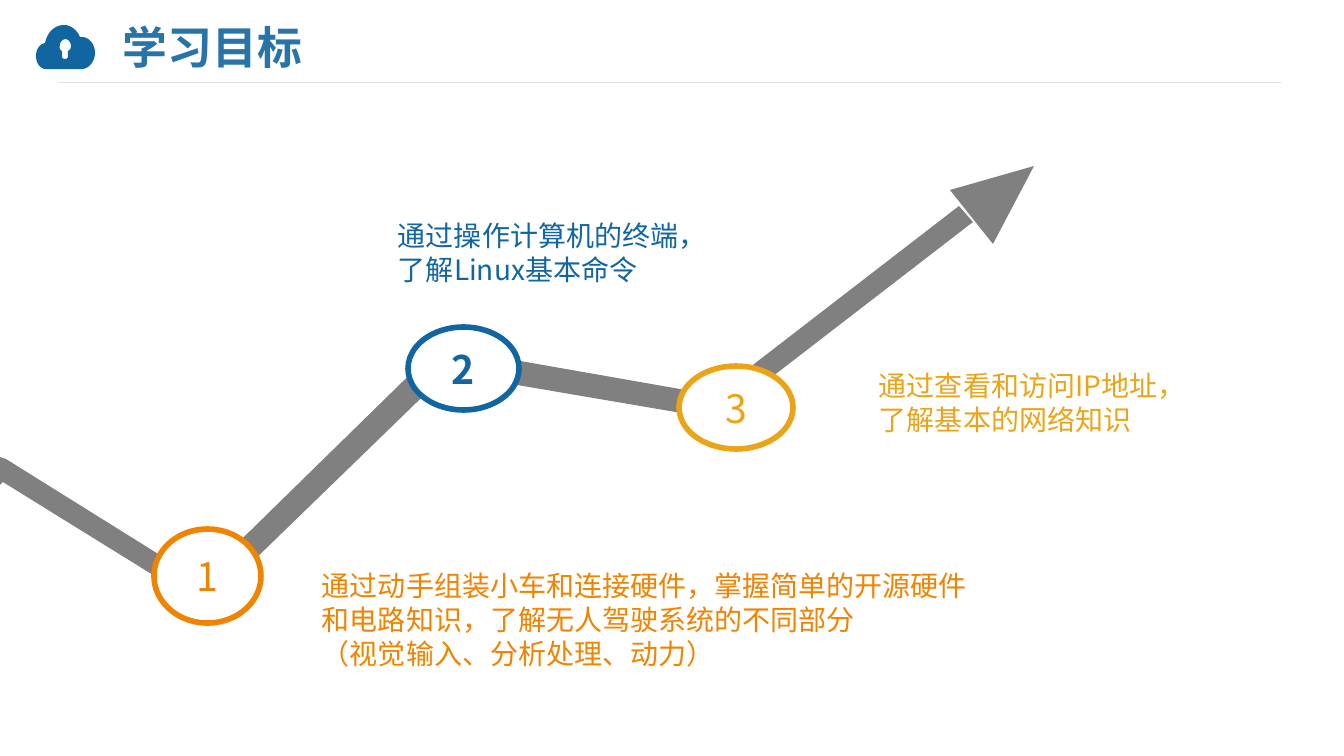
"""Build the learning goals slide: three numbered stops on a rising arrow."""
from lxml import etree
from pptx import Presentation
from pptx.dml.color import RGBColor
from pptx.enum.shapes import MSO_CONNECTOR, MSO_SHAPE
from pptx.enum.text import MSO_ANCHOR, MSO_AUTO_SIZE, PP_ALIGN
from pptx.oxml.ns import qn
from pptx.util import Pt

PX = 914400 / 100.8
FONT = "Noto Sans CJK SC"
WHITE = RGBColor(0xFF, 0xFF, 0xFF)
RULE = RGBColor(0xE0, 0xE0, 0xE0)
GRAY = RGBColor(0x80, 0x80, 0x80)
TITLE = RGBColor(0x28, 0x74, 0xA9)
BLUE = RGBColor(0x11, 0x65, 0xA0)
ORANGE = RGBColor(0xF0, 0x83, 0x00)
GOLD = RGBColor(0xEB, 0xA4, 0x17)
STEPS = 8


def px(*lengths):
    return [round(n * PX) for n in lengths]


def style(tf, size, color, bold=False):
    for p in tf.paragraphs:
        for r in p.runs:
            r.font.name, r.font.size, r.font.bold = FONT, Pt(size), bold
            r.font.color.rgb = color
            ea = etree.SubElement(r.font._element, qn("a:ea"))
            ea.set("typeface", FONT)


prs = Presentation()
prs.slide_width, prs.slide_height = px(1344, 756)
s = prs.slides.add_slide(prs.slide_layouts[5])

rule = s.shapes.add_connector(MSO_CONNECTOR.STRAIGHT, *px(1281, 83, 59, 83))
rule.line.color.rgb = RULE
rule.line.width = Pt(0.75)
etree.SubElement(rule._element.spPr, qn("a:effectLst"))

title = s.shapes.title
title.left, title.top, title.width, title.height = px(123, 21, 896, 52)
tf = title.text_frame
tf.text = "学习目标"
tf.auto_size = MSO_AUTO_SIZE.NONE
tf.vertical_anchor = MSO_ANCHOR.MIDDLE
tf.margin_left = tf.margin_top = tf.margin_right = tf.margin_bottom = 0
tf.paragraphs[0].alignment = PP_ALIGN.LEFT
style(tf, 32, TITLE, True)

cloud = [
    [(82, 37)], [(81, 37), (81, 37), (80, 37)], [(77, 30), (71, 25), (64, 25)],
    [(54, 25), (47, 33), (45, 43)], [(40, 44), (36, 49), (36, 56)],
    [(36, 63), (40, 69), (46, 69)], [(82, 69)],
    [(89, 69), (95, 61), (95, 53)], [(95, 44), (89, 37), (82, 37)],
]
keyhole = [
    [(68, 51)], [(68, 56)], [(68, 58), (67, 59), (65, 59)],
    [(63, 59), (62, 58), (62, 56)], [(62, 51)],
    [(60, 50), (59, 48), (60, 45)], [(60, 42), (62, 40), (65, 39)],
    [(68, 39), (71, 42), (71, 46)], [(71, 48), (70, 50), (68, 51)],
]
path = [[(0, 457), (6, 459), (200, 580), (434, 351), (442, 340), (452, 349),
         (714, 395), (959, 206), (973, 222), (720, 417), (713, 423), (705, 417),
         (447, 373), (213, 600), (209, 607), (200, 604), (3, 482), (0, 485)]]
arrowhead = [[(1034, 166), (950, 190), (993, 244)]]

icon = []
for contour in (cloud, keyhole):
    points = []
    for segment in contour:
        if len(segment) == 1:
            points += segment
            continue
        bezier = [points[-1], *segment]
        for i in range(1, STEPS + 1):
            t = i / STEPS
            weights = ((1 - t) ** 3, 3 * t * (1 - t) ** 2, 3 * t * t * (1 - t), t ** 3)
            points.append(tuple(sum(w * q[axis] for w, q in zip(weights, bezier))
                                for axis in (0, 1)))
    icon.append(points)

for contours, color in ((icon, BLUE), (path, GRAY), (arrowhead, GRAY)):
    outlines = [[px(*point) for point in contour] for contour in contours]
    builder = s.shapes.build_freeform(*outlines[0][0])
    for i, outline in enumerate(outlines):
        if i:
            builder.move_to(*outline[0])
        builder.add_line_segments(outline[1:], close=True)
    sp = builder.convert_to_shape()
    sp.shadow.inherit = False
    sp.fill.solid()
    sp.fill.fore_color.rgb = color
    sp.line.fill.background()

goals = [
    ("3", GOLD, (679, 366, 114, 83), (869, 364, 320, 78),
     "通过查看和访问IP地址，\n了解基本的网络知识"),
    ("2", BLUE, (408, 327, 111, 83), (388, 214, 365, 78),
     "通过操作计算机的终端，\n了解Linux基本命令"),
    ("1", ORANGE, (154, 529, 107, 94), (312, 564, 672, 112),
     "通过动手组装小车和连接硬件，掌握简单的开源硬件和电路知识，"
     "了解无人驾驶系统的不同部分\n（视觉输入、分析处理、动力）"),
]
for number, color, stop, box, text in goals:
    sp = s.shapes.add_shape(MSO_SHAPE.OVAL, *px(*stop))
    sp.shadow.inherit = False
    sp.fill.solid()
    sp.fill.fore_color.rgb = WHITE
    sp.line.color.rgb = color
    sp.line.width = Pt(4)
    tf = sp.text_frame
    tf.text = number
    tf.word_wrap = False
    tf.vertical_anchor = MSO_ANCHOR.MIDDLE
    tf.paragraphs[0].alignment = PP_ALIGN.CENTER
    style(tf, 28, color, number == "2")

    tf = s.shapes.add_textbox(*px(*box)).text_frame
    tf.text = text
    tf.word_wrap = True
    style(tf, 20, color)

prs.save("out.pptx")
